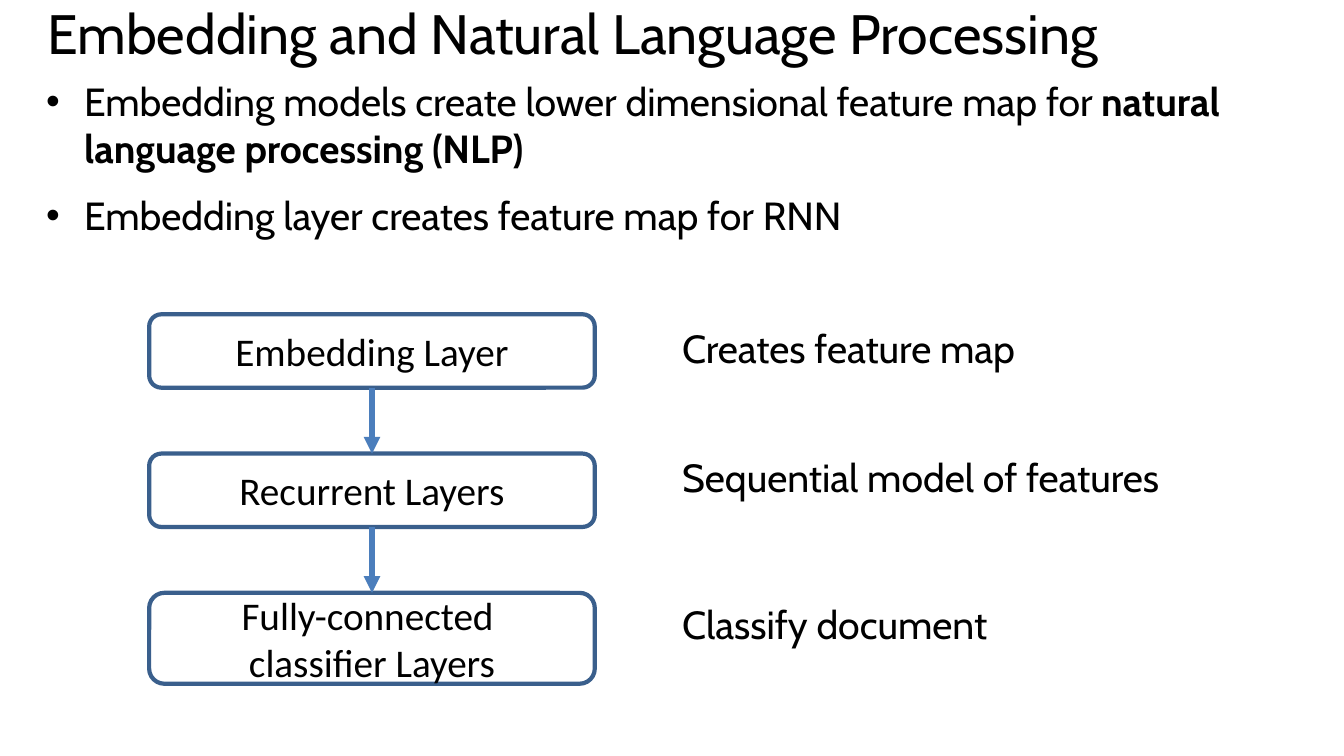
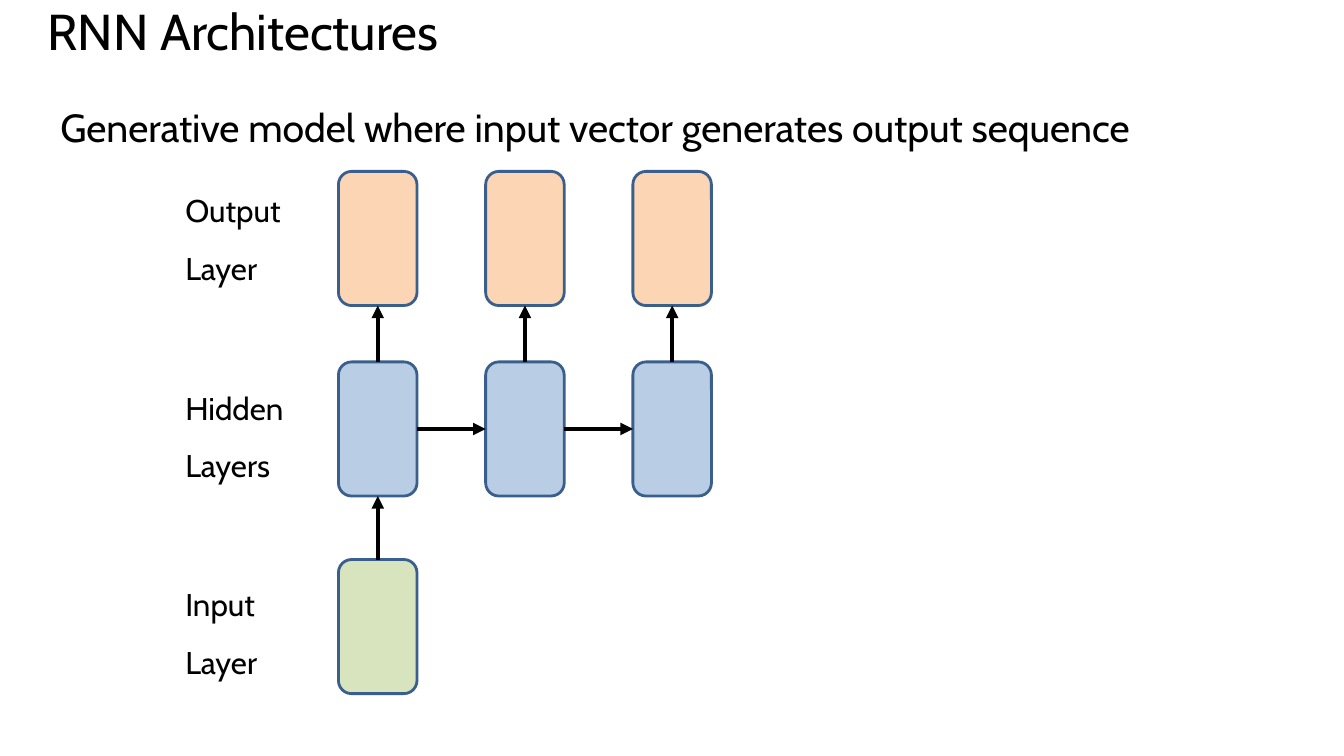
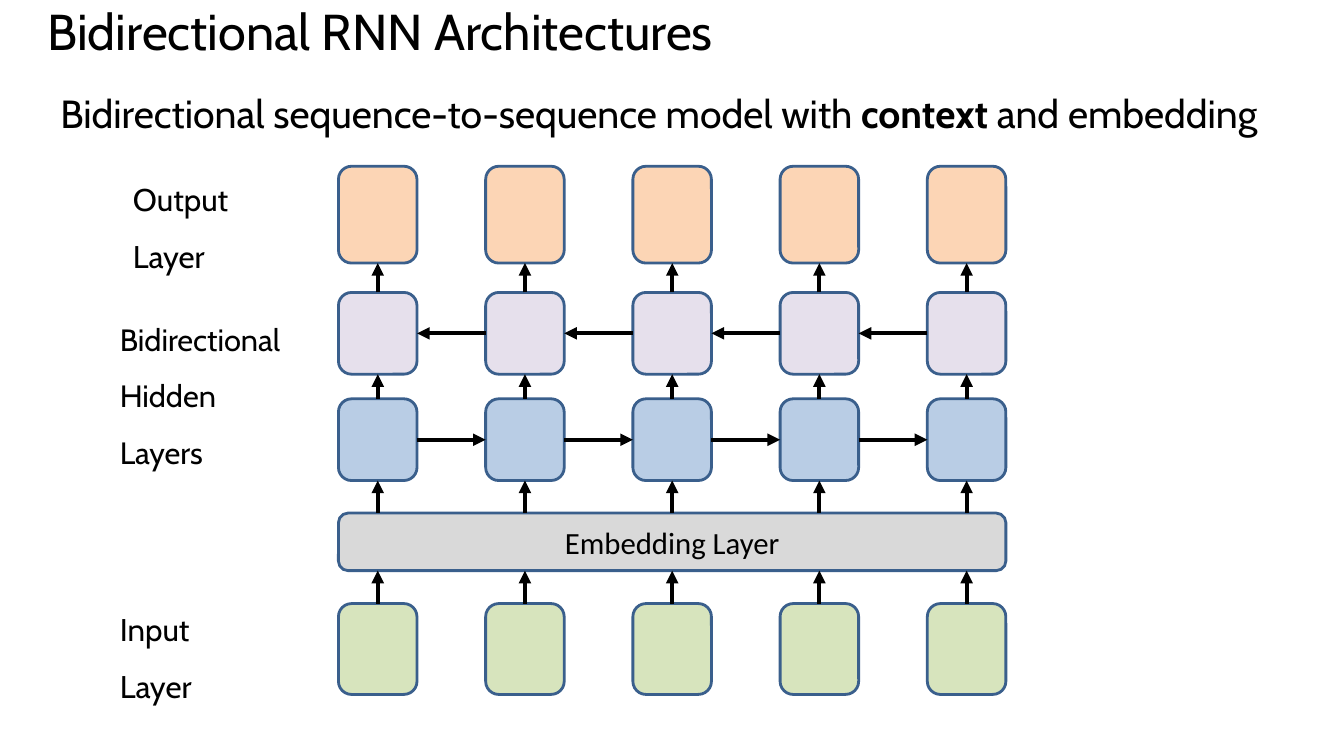
"""Build three slides on embedding layers and recurrent network layouts."""
from pptx import Presentation, util as u
from pptx.dml.color import RGBColor
from pptx.enum import shapes, text
from pptx.oxml.ns import qn
from lxml import etree

HUES = {
    "ink": "000000", "edge": "3A5F8C", "flow": "4B7EBC", "out": "FCD5B5",
    "hidden": "B9CDE5", "back": "E6E0EC", "input": "D7E4BD", "bar": "D9D9D9",
}
FONT, BOXFONT = "Cabin", "Calibri"
LEFT, PITCH, WIDE = 8.53, 3.71, 1.98
SIDES = {"up": (0, 2), "down": (2, 0), "right": (3, 1), "left": (1, 3)}


def color(name):
    """Return the named colour."""
    return RGBColor.from_string(HUES[name])


def write(frame, lines, size, font=FONT, align=text.PP_ALIGN.LEFT, gap=14):
    """Fill a frame with lines, where asterisks enclose bold words."""
    frame.word_wrap = True
    frame.auto_size = text.MSO_AUTO_SIZE.NONE
    frame.text = "\n".join(lines)
    for n, (para, line) in enumerate(zip(frame.paragraphs, lines)):
        para.alignment = align
        para.space_before = u.Pt(gap if n else 0)
        first, *rest = line.split("*")
        para.runs[0].text = first
        for piece in rest:
            para.add_run().text = piece
        for k, run in enumerate(para.runs):
            run.font.name = font
            run.font.size = u.Pt(size)
            run.font.bold = k % 2 == 1
            run.font.color.rgb = color("ink")


def place(shape, left, top, width, height):
    """Move and size a shape in centimetres."""
    shape.left, shape.top = u.Cm(left), u.Cm(top)
    shape.width, shape.height = u.Cm(width), u.Cm(height)


def start(deck, title, size=36, layout=5):
    """Add a slide with the shared title style."""
    slide = deck.slides.add_slide(deck.slide_layouts[layout])
    head = slide.shapes.title
    place(head, 0.94, 0.18, 32, 2.26)
    write(head.text_frame, [title], size)
    head.text_frame.vertical_anchor = text.MSO_ANCHOR.TOP
    head.text_frame.paragraphs[0].line_spacing = 0.8
    return slide


def label(slide, lines, left, top, width, height, size):
    """Add a plain text box."""
    box = slide.shapes.add_textbox(*map(u.Cm, (left, top, width, height)))
    write(box.text_frame, lines, size)


def block(slide, left, top, width, height, fill=None, line=2, lines=(), size=28):
    """Add an outlined rounded box with optional centred text."""
    box = slide.shapes.add_shape(
        shapes.MSO_SHAPE.ROUNDED_RECTANGLE, *map(u.Cm, (left, top, width, height)))
    box.shadow.inherit = False
    if fill:
        box.fill.solid()
        box.fill.fore_color.rgb = color(fill)
    else:
        box.fill.background()
    box.line.color.rgb = color("edge")
    box.line.width = u.Pt(line)
    if lines:
        write(box.text_frame, lines, size, BOXFONT, text.PP_ALIGN.CENTER, 0)
        box.text_frame.vertical_anchor = text.MSO_ANCHOR.MIDDLE
    return box


def row(slide, top, height, count, fill):
    """Add a row of cells on the shared column grid."""
    return [block(slide, LEFT + n * PITCH, top, WIDE, height, fill)
            for n in range(count)]


def spot(shape, site):
    """Return the middle of one side of a shape."""
    across, down = ((1, 0), (0, 1), (1, 2), (2, 1))[site]
    return (shape.left + shape.width * across // 2,
            shape.top + shape.height * down // 2)


def join(slide, tail, head, way, hue="ink", width=3):
    """Draw an arrow between facing sides, in line with the narrower shape."""
    here, there = SIDES[way]
    (x1, y1), (x2, y2) = spot(tail, here), spot(head, there)
    mids = x1, x2
    if way in ("up", "down"):
        x1 = x2 = x1 if tail.width <= head.width else x2
    wire = slide.shapes.add_connector(
        shapes.MSO_CONNECTOR.STRAIGHT, x1, y1, x2, y2)
    if abs(mids[0] - x1) < 1000:
        wire.begin_connect(tail, here)
    if abs(mids[1] - x2) < 1000:
        wire.end_connect(head, there)
    wire.line.color.rgb = color(hue)
    wire.line.width = u.Pt(width)
    etree.SubElement(wire.line._get_or_add_ln(), qn("a:tailEnd"), type="triangle")
    etree.SubElement(wire._element.spPr, qn("a:effectLst"))


def climb(slide, low, high):
    """Join each lower cell to the cell above it."""
    for tail, head in zip(low, high):
        join(slide, tail, head, "up")


def chain(slide, cells, way):
    """Join neighbouring cells in the order given."""
    for tail, head in zip(cells, cells[1:]):
        join(slide, tail, head, way)


def embed(deck):
    """Build the slide on embedding for language processing."""
    slide = start(deck, "Embedding and Natural Language Processing", 39.6, 1)
    body = slide.placeholders[1]
    place(body, 0.91, 1.83, 32, 4.93)
    write(body.text_frame, [
        "Embedding models create lower dimensional feature map for "
        "*natural language processing (NLP)",
        "Embedding layer creates feature map for RNN"], 28)
    steps = (
        (["Embedding Layer"], 1.85, "Creates feature map", 8.05),
        (["Recurrent Layers"], 1.85, "Sequential model of features", 11.3),
        (["Fully-connected ", "classifier Layers"], 2.29, "Classify document", 15.01),
    )
    boxes = []
    for n, (lines, height, note, top) in enumerate(steps):
        boxes.append(block(slide, 3.76, 7.92 + n * 3.51, 11.23, height,
                           line=3, lines=lines))
        label(slide, [note], 16.94, top, 15.16, 2.11, 28)
    for tail, head in zip(boxes, boxes[1:]):
        join(slide, tail, head, "down", "flow", 4)


def generate(deck):
    """Build the slide on the generative network."""
    slide = start(deck, "RNN Architectures")
    label(slide, ["Generative model where input vector generates output sequence"],
          1.27, 2.49, 32.31, 1.22, 28)
    for lines, top in ((["Output", "Layer"], 4.7), (["Hidden", "Layers"], 9.68),
                       (["Input", "Layer"], 14.63)):
        label(slide, lines, 4.42, top, 3.61, 2.26, 22.4)
    out = row(slide, 4.32, 3.38, 3, "out")
    hidden = row(slide, 9.12, 3.38, 3, "hidden")
    first = row(slide, 14.1, 3.38, 1, "input")
    climb(slide, first, hidden)
    climb(slide, hidden, out)
    chain(slide, hidden, "right")


def twoway(deck):
    """Build the slide on the bidirectional network."""
    slide = start(deck, "Bidirectional RNN Architectures")
    label(slide, ["Bidirectional sequence-to-sequence model with *context* and embedding"],
          1.27, 2.13, 32.6, 2.16, 28)
    for lines, left, top, size in (
            (["Output", "Layer"], 3.1, 4.42, 22.4),
            (["Bidirectional", "Hidden", "Layers"], 2.77, 7.95, 22),
            (["Input", "Layer"], 2.77, 15.24, 22.4)):
        label(slide, lines, left, top, 4.98, 2.26, size)
    out = row(slide, 4.19, 2.44, 5, "out")
    back = row(slide, 7.37, 2.06, 5, "back")
    hidden = row(slide, 10.05, 2.06, 5, "hidden")
    bar = block(slide, LEFT, 12.93, 4 * PITCH + WIDE, 1.45, "bar",
                lines=["Embedding Layer"], size=22)
    first = row(slide, 15.21, 2.29, 5, "input")
    bars = [bar] * 5
    for low, high in ((first, bars), (bars, hidden), (hidden, back), (back, out)):
        climb(slide, low, high)
    chain(slide, hidden, "right")
    chain(slide, back[::-1], "left")


def main():
    """Build and save the deck."""
    deck = Presentation()
    deck.slide_width, deck.slide_height = u.Cm(33.87), u.Cm(19.05)
    embed(deck)
    generate(deck)
    twoway(deck)
    deck.save("out.pptx")


if __name__ == "__main__":
    main()
